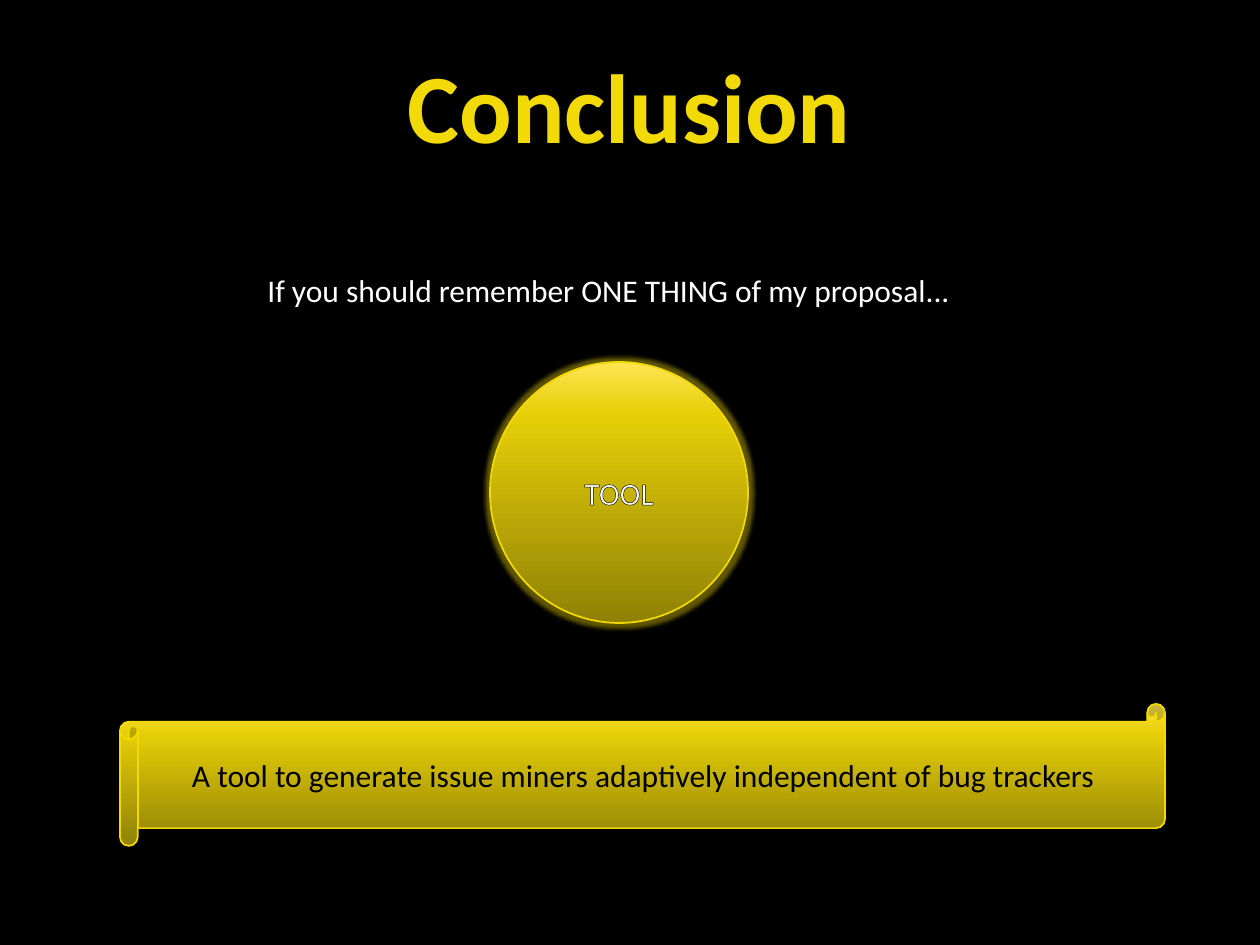
from lxml import etree
from pptx import Presentation, util as u
from pptx.dml import color
from pptx.enum import shapes, text
from pptx.oxml import ns

# Content: lengths in pixels, 126 to the inch
WIDTH, HEIGHT, SCALE = 1260, 945, 914400 // 126
FONT, BLACK, WHITE, YELLOW = "Calibri", "000000", "FFFFFF", "F2D908"
OUTLINE = "F2D902"
GOLD_STOPS = [(0, "8F8105"), (80, "E7CF08"), (100, "FFE552")]
CENTER, LEFT = text.PP_ALIGN.CENTER, text.PP_ALIGN.LEFT

TEXT_BOXES = [
    dict(box=(107, 15, 1045, 178), words="Conclusion", size=56, fill=YELLOW,
         bold=True, align=CENTER, wrap=True, anchor=text.MSO_ANCHOR.MIDDLE),
    dict(box=(255, 265, 740, 50), size=18, fill=WHITE, wrap=False,
         words="If you should remember ONE THING of my proposal..."),
]
TOOL = dict(kind=shapes.MSO_SHAPE.OVAL, box=(490, 362, 258, 261),
            words="TOOL", fill=WHITE)
SCROLL = dict(kind=shapes.MSO_SHAPE.HORIZONTAL_SCROLL, box=(120, 704, 1045, 142),
              words="A tool to generate issue miners adaptively independent of bug trackers ",
              fill=BLACK)


def rgb(value):
    return color.RGBColor.from_string(value)


def emu(box):
    return [length * SCALE for length in box]


def add_color(parent, value, alpha=None):
    element = etree.SubElement(parent, ns.qn("a:srgbClr"), val=value)
    if alpha is not None:
        etree.SubElement(element, ns.qn("a:alpha"), val=str(alpha * 1000))


def write(shape, words, size, fill, bold=False, align=LEFT, wrap=True,
          anchor=text.MSO_ANCHOR.TOP):
    frame = shape.text_frame
    frame.word_wrap, frame.vertical_anchor = wrap, anchor
    paragraph = frame.paragraphs[0]
    paragraph.alignment = align
    run = paragraph.add_run()
    run.text = words
    run.font.name, run.font.size, run.font.bold = FONT, u.Pt(size), bold
    run.font.color.rgb = rgb(fill)
    return run


def add_gold_shape(kind, box, words, fill):
    shape = slide.shapes.add_shape(kind, *emu(box))
    shape.shadow.inherit = False
    shape.line.color.rgb, shape.line.width = rgb(OUTLINE), u.Pt(1)
    shape.fill.gradient()
    shape.fill.gradient_angle = 90
    stops = shape._element.spPr.find(".//" + ns.qn("a:gsLst"))
    for stop in list(stops):
        stops.remove(stop)
    for position, value in GOLD_STOPS:
        add_color(etree.SubElement(stops, ns.qn("a:gs"), pos=str(position * 1000)), value)
    run = write(shape, words, 18, fill, align=CENTER, anchor=text.MSO_ANCHOR.MIDDLE)
    return shape, run


presentation = Presentation()
presentation.slide_width, presentation.slide_height = emu((WIDTH, HEIGHT))
slide = presentation.slides.add_slide(presentation.slide_layouts[6])
slide.background.fill.solid()
slide.background.fill.fore_color.rgb = rgb(BLACK)

# Title and lead-in
for item in TEXT_BOXES:
    options = dict(item)
    write(slide.shapes.add_textbox(*emu(options.pop("box"))), **options)

# Glowing circle with outlined lettering
circle, label = add_gold_shape(**TOOL)
effects = circle._element.spPr.find(ns.qn("a:effectLst"))
glow = etree.SubElement(effects, ns.qn("a:glow"), rad=str(u.Pt(5)))
add_color(glow, OUTLINE, alpha=40)
outline = etree.Element(ns.qn("a:ln"), w=str(u.Pt(0.75)))
add_color(etree.SubElement(outline, ns.qn("a:solidFill")), BLACK)
label.font._element.insert(0, outline)

# Scroll with the message
add_gold_shape(**SCROLL)

presentation.save("out.pptx")
